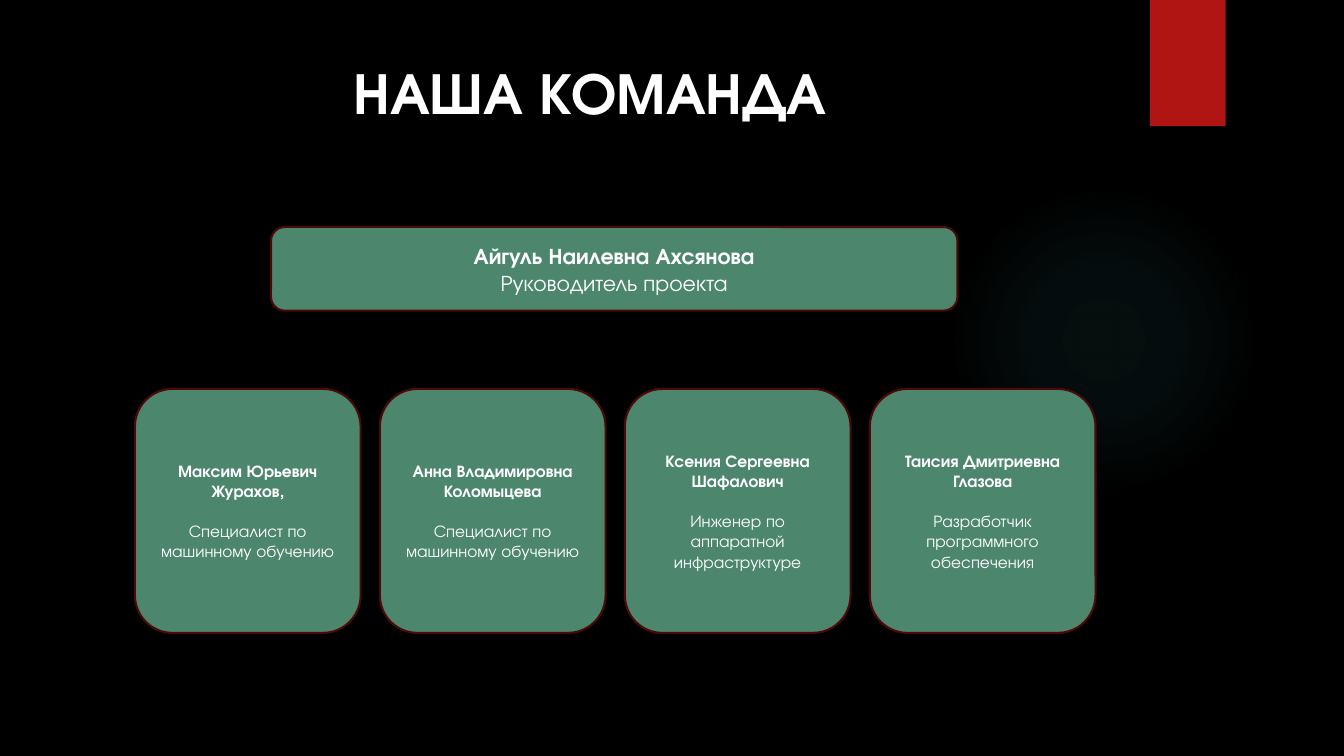
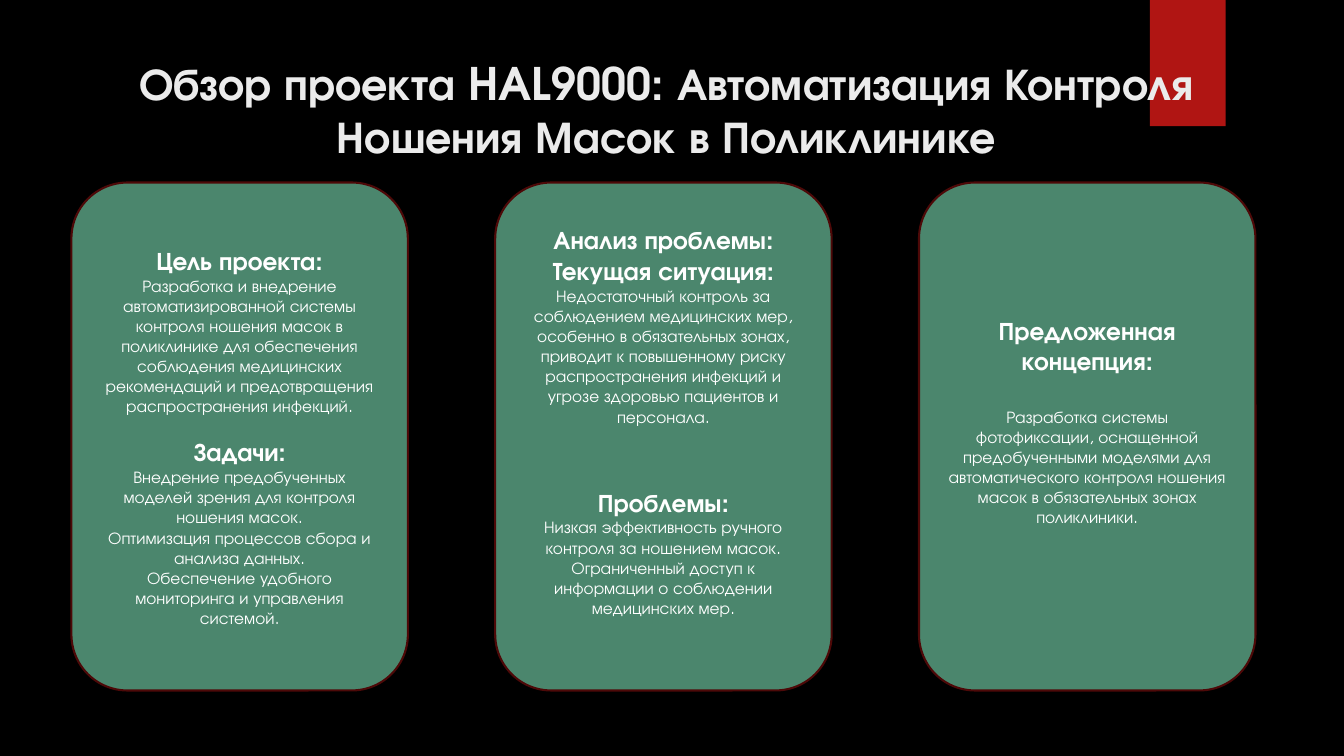
"""Builds the team slide and the project overview slide."""
from dataclasses import dataclass
from typing import NamedTuple

from lxml import etree
from pptx import Presentation
from pptx import util as u
from pptx.dml.color import RGBColor
from pptx.enum import shapes, text
from pptx.oxml import ns


@dataclass(frozen=True)
class Theme:
    """Holds the colours and type sizes of the deck."""
    font: str = "TeX Gyre Adventor"
    ground: str = "000000"
    tab: str = "B01513"
    glow: str = "50B9C1"
    glow_stops: tuple = ((0, 7), (36, 6), (69, 0), (100, 0))
    card: str = "4B866D"
    border: str = "4D0908"
    white: str = "FFFFFF"
    soft_white: str = "EBEBEB"
    border_width: float = 1.5
    team_title: int = 42
    overview_title: int = 32
    heading: int = 18
    leader: int = 16
    body: int = 12
    line_height: float = 1.2


class Box(NamedTuple):
    """A rectangle in centimetres."""
    left: float
    top: float
    width: float
    height: float

    def lengths(self):
        """Return the four sides as lengths."""
        return [u.Cm(side) for side in self]

    def columns(self, count, width):
        """Split the box into evenly spaced columns of one width."""
        pitch = (self.width - width) / (count - 1)
        return [Box(self.left + pitch * index, self.top, width, self.height)
                for index in range(count)]


class Line(NamedTuple):
    """One paragraph with its size, weight and the space above it."""
    words: str
    size: int
    bold: bool = False
    gap: float = 0


THEME = Theme()
SLIDE_WIDTH, SLIDE_HEIGHT = 33.87, 19.05
TAB = Box(28.98, 0, 1.91, 3.18)
GLOW = Box(23.9, 4.65, 7.82, 7.82)
TEAM_TITLE = Box(1.8, 1.27, 26.14, 3.89)
OVERVIEW_TITLE = Box(1.8, 1.27, 30, 3.89)
LEADER = Box(6.83, 5.72, 17.3, 2.11)
TEAM = Box(3.4, 9.8, 24.21, 6.15)
TOPICS = Box(1.8, 4.6, 29.84, 12.8)
BODY_LINE = THEME.body * THEME.line_height
HEADING_LINE = THEME.heading * THEME.line_height

MEMBERS = [
    ("Максим Юрьевич Журахов,", "Специалист по машинному обучению"),
    ("Анна Владимировна Коломыцева", "Специалист по машинному обучению"),
    ("Ксения Сергеевна Шафалович", "Инженер по аппаратной инфраструктуре"),
    ("Таисия Дмитриевна Глазова", "Разработчик программного обеспечения"),
]


def heading(words, gap=0):
    """Return a heading line of a topic card."""
    return Line(words, THEME.heading, True, gap)


def body(words, gap=0):
    """Return a plain line of a card."""
    return Line(words, THEME.body, False, gap)


GOALS = [
    heading("Цель проекта:"),
    body("Разработка и внедрение автоматизированной системы контроля ношения "
         "масок в поликлинике для обеспечения соблюдения медицинских "
         "рекомендаций и предотвращения распространения инфекций."),
    heading("Задачи:", BODY_LINE),
    body("Внедрение предобученных моделей зрения для контроля ношения масок."),
    body("Оптимизация процессов сбора и анализа данных."),
    body("Обеспечение удобного мониторинга и управления системой."),
]
PROBLEMS = [
    heading("Анализ проблемы:"),
    heading("Текущая ситуация:"),
    body("Недостаточный контроль за соблюдением медицинских мер, особенно в "
         "обязательных зонах, приводит к повышенному риску распространения "
         "инфекций и угрозе здоровью пациентов и персонала."),
    heading("Проблемы:", 3 * BODY_LINE),
    body("Низкая эффективность ручного контроля за ношением масок."),
    body("Ограниченный доступ к информации о соблюдении медицинских мер."),
]
CONCEPT = [
    heading("Предложенная концепция:"),
    body("Разработка системы фотофиксации, оснащенной предобученными моделями "
         "для автоматического контроля ношения масок в обязательных зонах "
         "поликлиники.", HEADING_LINE),
]


def write(frame, words, *, size, color=THEME.white, bold=False, gap=0, first=False):
    """Write one centred paragraph into a text frame."""
    para = frame.paragraphs[0] if first else frame.add_paragraph()
    para.alignment = text.PP_ALIGN.CENTER
    para.space_before = u.Pt(gap)
    span = para.add_run()
    span.text = words
    span.font.name = THEME.font
    span.font.size = u.Pt(size)
    span.font.bold = bold
    span.font.color.rgb = RGBColor.from_string(color)


def add_block(page, kind, box, fill):
    """Add a flat, borderless shape."""
    block = page.shapes.add_shape(kind, *box.lengths())
    block.shadow.inherit = False
    block.fill.solid()
    block.fill.fore_color.rgb = RGBColor.from_string(fill)
    block.line.fill.background()
    return block


def add_glow(page, box):
    """Add the faint round glow that fades outwards."""
    glow = add_block(page, shapes.MSO_SHAPE.OVAL, box, THEME.glow)
    solid = glow.fill._xPr.find(ns.qn("a:solidFill"))
    gradient = etree.Element(ns.qn("a:gradFill"))
    stops = etree.SubElement(gradient, ns.qn("a:gsLst"))
    for position, opacity in THEME.glow_stops:
        stop = etree.SubElement(stops, ns.qn("a:gs"), pos=str(position * 1000))
        color = etree.SubElement(stop, ns.qn("a:srgbClr"), val=THEME.glow)
        etree.SubElement(color, ns.qn("a:alpha"), val=str(opacity * 1000))
    circle = etree.SubElement(gradient, ns.qn("a:path"), path="circle")
    etree.SubElement(circle, ns.qn("a:fillToRect"),
                     dict.fromkeys("ltrb", "50000"))
    solid.getparent().replace(solid, gradient)


def add_title(page, box, words, **style):
    """Add a bold centred title at the top of its box."""
    frame = page.shapes.add_textbox(*box.lengths()).text_frame
    frame.word_wrap = True
    frame.vertical_anchor = text.MSO_ANCHOR.TOP
    write(frame, words, bold=True, first=True, **style)


def add_card(page, box, lines, tail=0):
    """Add a rounded card with centred lines and spare points below them."""
    card = add_block(page, shapes.MSO_SHAPE.ROUNDED_RECTANGLE, box, THEME.card)
    card.line.color.rgb = RGBColor.from_string(THEME.border)
    card.line.width = u.Pt(THEME.border_width)
    frame = card.text_frame
    frame.word_wrap = True
    frame.vertical_anchor = text.MSO_ANCHOR.MIDDLE
    frame.margin_bottom += u.Pt(tail)
    for index, line in enumerate(lines):
        write(frame, line.words, size=line.size, bold=line.bold,
              gap=line.gap, first=index == 0)


def add_page(deck):
    """Add a dark slide with the glow and the red tab."""
    page = deck.slides.add_slide(deck.slide_layouts[6])
    page.background.fill.solid()
    page.background.fill.fore_color.rgb = RGBColor.from_string(THEME.ground)
    add_glow(page, GLOW)
    add_block(page, shapes.MSO_SHAPE.RECTANGLE, TAB, THEME.tab)
    return page


def build_team(deck):
    """Build the slide with the leader and the team members."""
    page = add_page(deck)
    add_title(page, TEAM_TITLE, "НАША КОМАНДА", size=THEME.team_title)
    for box, (name, role) in zip(TEAM.columns(len(MEMBERS), 5.69), MEMBERS):
        add_card(page, box, [Line(name, THEME.body, True), body(role, BODY_LINE)])
    add_card(page, LEADER, [Line("Айгуль Наилевна Ахсянова", THEME.leader, True),
                            Line("Руководитель проекта", THEME.leader)])


def build_overview(deck):
    """Build the slide with the three project topics."""
    page = add_page(deck)
    add_title(page, OVERVIEW_TITLE,
              "Обзор проекта HAL9000: Автоматизация Контроля Ношения Масок "
              "в Поликлинике",
              size=THEME.overview_title, color=THEME.soft_white)
    topics = [(GOALS, 0), (PROBLEMS, HEADING_LINE), (CONCEPT, HEADING_LINE)]
    for box, (lines, tail) in zip(TOPICS.columns(len(topics), 8.48), topics):
        add_card(page, box, lines, tail)


def main():
    """Build and save the deck."""
    deck = Presentation()
    deck.slide_width = u.Cm(SLIDE_WIDTH)
    deck.slide_height = u.Cm(SLIDE_HEIGHT)
    build_team(deck)
    build_overview(deck)
    deck.save("out.pptx")


if __name__ == "__main__":
    main()
